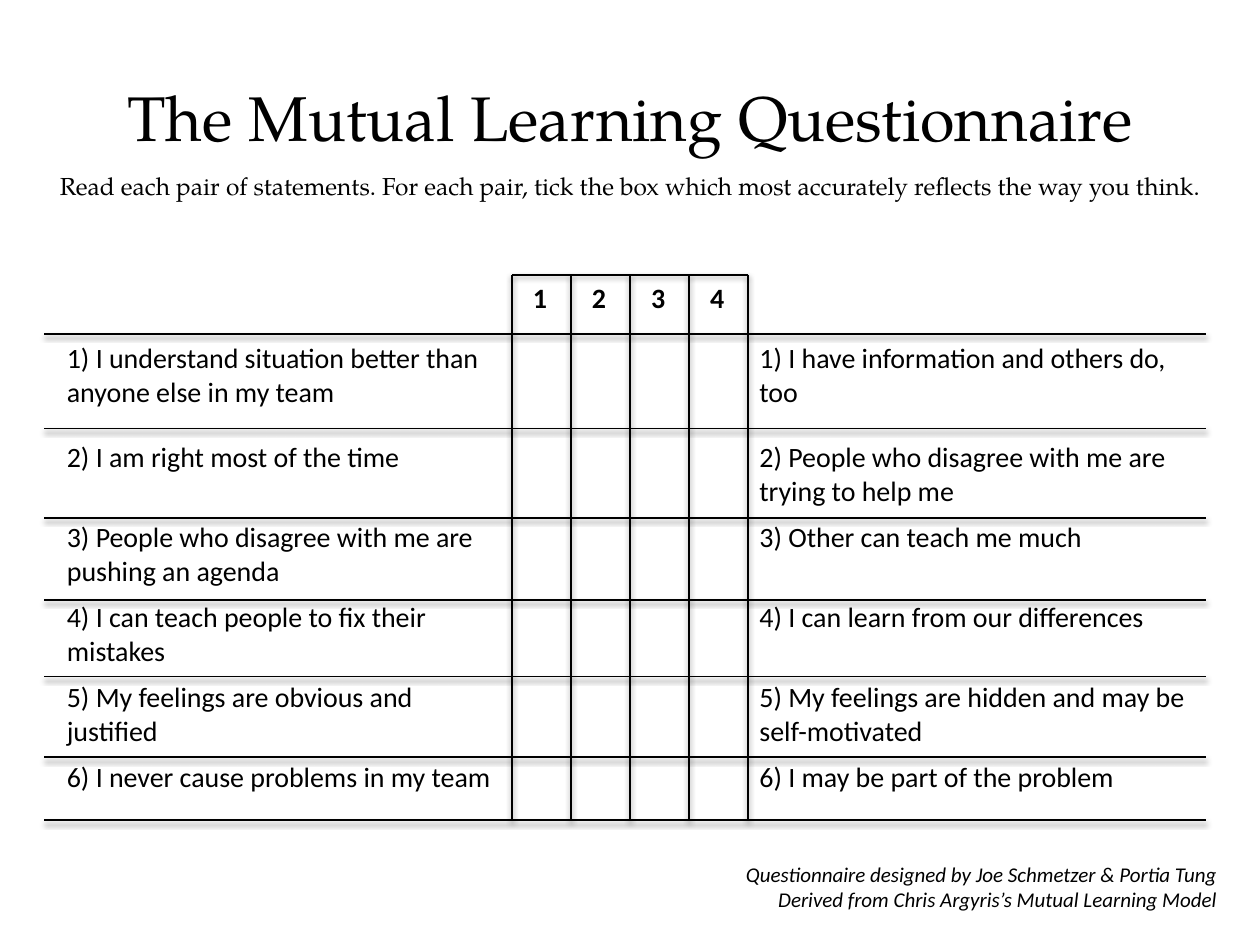
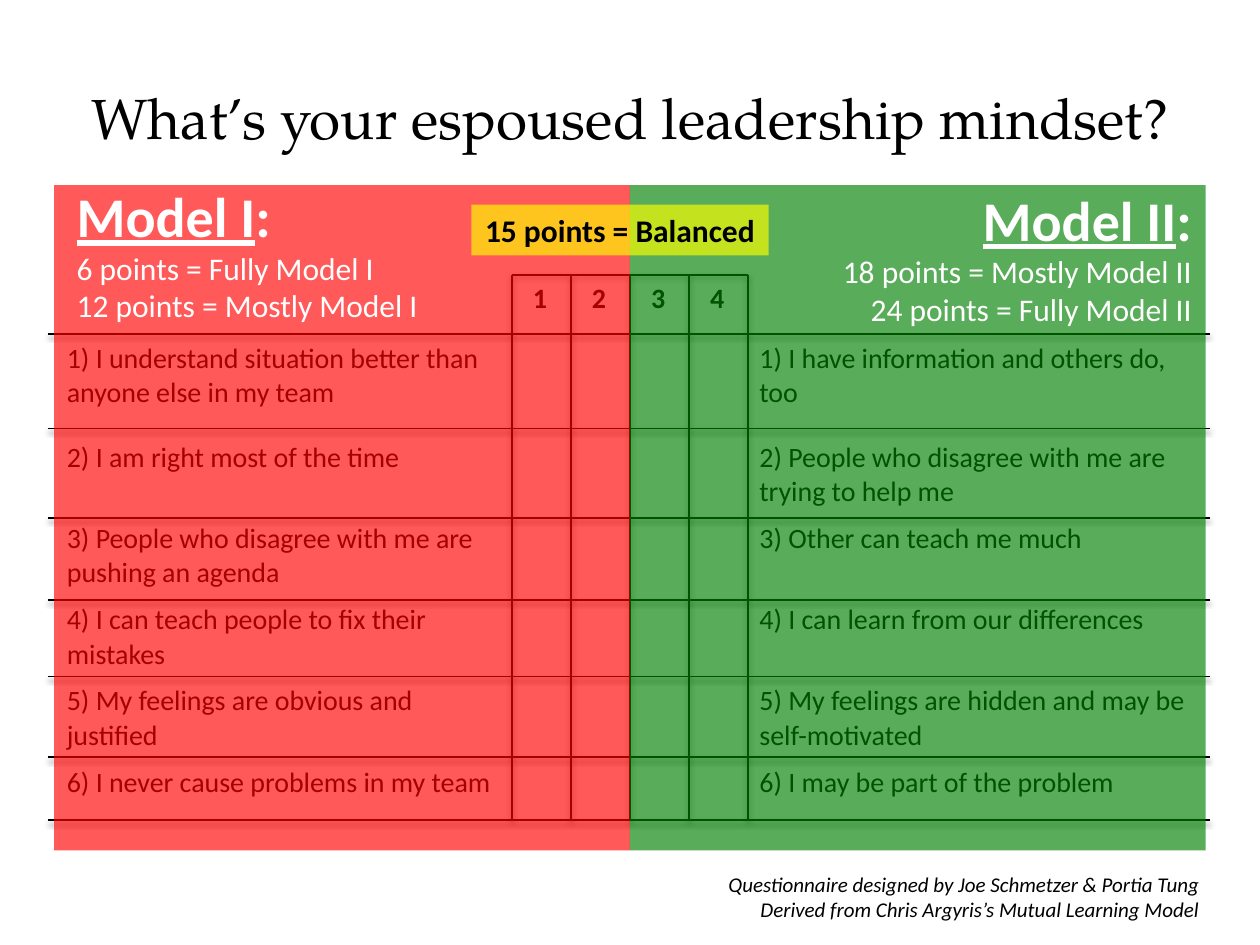
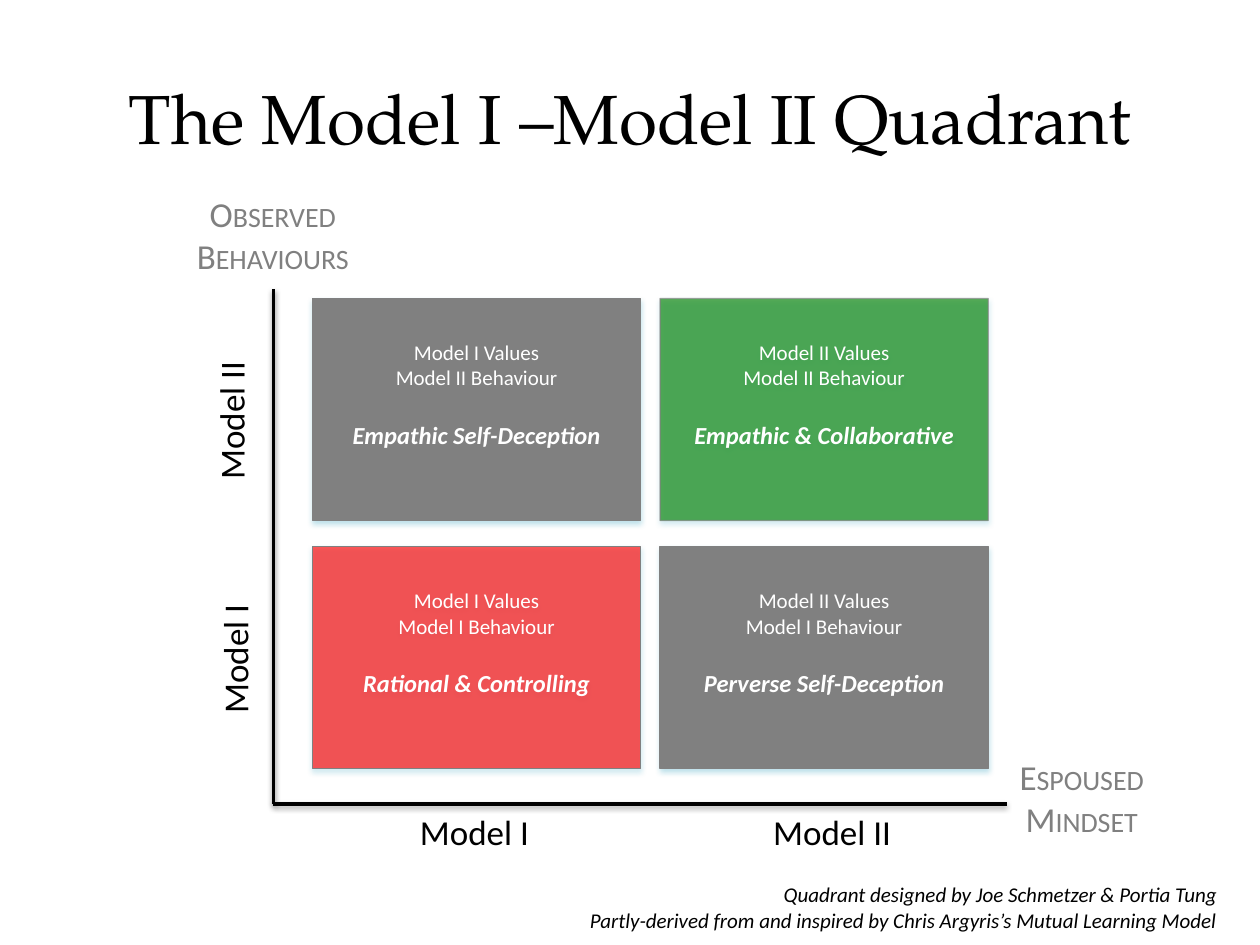
import dataclasses
import typing

import lxml.etree
import pptx
import pptx.dml.color
import pptx.enum.shapes
import pptx.enum.text
import pptx.oxml.ns
import pptx.util

Pt = pptx.util.Pt
qn = pptx.oxml.ns.qn
ALIGN = pptx.enum.text.PP_ALIGN
ANCHOR = pptx.enum.text.MSO_ANCHOR
RECTANGLE = pptx.enum.shapes.MSO_SHAPE.RECTANGLE

BLACK, WHITE, GREY = "000000", "FFFFFF", "808080"
RED, GREEN, YELLOW = "FF0000", "008000", "FFFF00"
GLOW = "4BACC6"
SHEER = 65
BODY_FONT, TITLE_FONT = "Calibri", "TeX Gyre Pagella"
NO_GRID_STYLE = "{2D5ABB26-0587-4C30-8999-92F81FD0307C}"

COLUMN_WIDTHS = [260.6, 33.8, 33.8, 33.8, 33.8, 266.6]
SCORE_LEFT, SCORE_STEP = 292.5, 33.75
GRID_TOP, GRID_BOTTOM = 157, 468.7
RULE_LEFT, RULE_RIGHT = 25.2, 689
RULE_HEIGHTS = [190.8, 244.8, 295.9, 342.7, 386.6, 432.7, GRID_BOTTOM]
STATEMENTS = [
    ("I understand situation better than anyone else in my team",
     "I have information and others do, too"),
    ("I am right most of the time",
     "People who disagree with me are trying to help me"),
    ("People who disagree with me are pushing an agenda",
     "Other can teach me much"),
    ("I can teach people to fix their mistakes",
     "I can learn from our differences"),
    ("My feelings are obvious and justified",
     "My feelings are hidden and may be self-motivated"),
    ("I never cause problems in my team",
     "I may be part of the problem"),
]


@dataclasses.dataclass(frozen=True)
class Box:
    left: float
    top: float
    width: float
    height: float

    def lengths(self) -> list[int]:
        return [Pt(value) for value in dataclasses.astuple(self)]


@dataclasses.dataclass(frozen=True)
class Words:
    text: str
    size: float
    colour: str = BLACK
    font: str = BODY_FONT
    style: dict[str, bool] = dataclasses.field(default_factory=dict)
    small_caps: bool = False


@dataclasses.dataclass(frozen=True)
class Panel:
    heading: str
    scores: list[str]
    area: Box
    caption: Box
    colour: str
    align: typing.Any


@dataclasses.dataclass(frozen=True)
class Quadrant:
    values: str
    behaviour: str
    verdict: str
    column: int
    row: int
    fill: str
    fill_alpha: int = 100
    line_alpha: int = 100


@dataclasses.dataclass(frozen=True)
class AxisLabel:
    text: str
    box: Box
    rotation: int = 0
    colour: str = BLACK
    small_caps: bool = False


PANELS = [
    Panel("Model I", ["6 points = Fully Model I", "12 points = Mostly Model I"],
          Box(31, 105.8, 329, 380.2), Box(36.7, 100.1, 249, 90), RED, ALIGN.LEFT),
    Panel("Model II", ["18 points = Mostly Model II", "24 points = Fully Model II"],
          Box(360, 105.8, 329, 380.2), Box(439.2, 102.2, 249, 90), GREEN, ALIGN.RIGHT),
]
QUADRANTS = [
    Quadrant("Model I", "Model II", "Empathic Self-Deception", 0, 0, GREY),
    Quadrant("Model I", "Model I", "Rational & Controlling", 0, 1, RED, SHEER),
    Quadrant("Model II", "Model II", "Empathic & Collaborative", 1, 0, GREEN, SHEER, SHEER),
    Quadrant("Model II", "Model I", "Perverse Self-Deception", 1, 1, GREY),
]
AXIS_LABELS = [
    AxisLabel("Model I", Box(218.2, 459.4, 105.8, 31.7)),
    AxisLabel("Model I", Box(81.4, 360.7, 105.8, 31.7), 270),
    AxisLabel("Model II", Box(79.2, 224.6, 105.8, 31.7), 270),
    AxisLabel("Observed Behaviours", Box(82.1, 106.6, 147.6, 55.4), 0, GREY, True),
    AxisLabel("Espoused Mindset", Box(558.7, 428.4, 118.8, 55.4), 0, GREY, True),
    AxisLabel("Model II", Box(422.6, 459.4, 105.8, 31.7)),
]


def rgb(colour: str) -> pptx.dml.color.RGBColor:
    return pptx.dml.color.RGBColor.from_string(colour)


def apply_format(target: typing.Any, values: dict[str, typing.Any]) -> None:
    for attribute, value in values.items():
        setattr(target, attribute, value)


def place(shape: typing.Any, box: Box) -> None:
    apply_format(shape, dict(zip(("left", "top", "width", "height"), box.lengths())))


def write(frame: typing.Any, lines: list[list[Words]], align: typing.Any) -> None:
    for index, line in enumerate(lines):
        paragraph = frame.add_paragraph() if index else frame.paragraphs[0]
        paragraph.alignment = align
        for words in line:
            run = paragraph.add_run()
            run.text = words.text
            apply_format(run.font, {"name": words.font, "size": Pt(words.size), **words.style})
            run.font.color.rgb = rgb(words.colour)
            if words.small_caps:
                run.font._element.set("cap", "small")


def add_text(shapes: typing.Any, box: Box, lines: list[list[Words]],
             align: typing.Any = ALIGN.CENTER) -> typing.Any:
    caption = shapes.add_textbox(*box.lengths())
    caption.text_frame.word_wrap = True
    write(caption.text_frame, lines, align)
    return caption


def set_alpha(properties: typing.Any, percent: int) -> None:
    if percent < 100:
        colour = properties.find(f"{qn('a:solidFill')}/{qn('a:srgbClr')}")
        lxml.etree.SubElement(colour, qn("a:alpha"), val=str(percent * 1000))


def cast_shadow(shape: typing.Any, colour: str, percent: int, distance: float) -> None:
    properties = shape.element.spPr
    effects = properties.find(qn("a:effectLst"))
    if effects is None:
        effects = lxml.etree.SubElement(properties, qn("a:effectLst"))
    shadow = lxml.etree.SubElement(
        effects, qn("a:outerShdw"), blurRad=str(Pt(3.1)), dist=str(Pt(distance)),
        dir="5400000", rotWithShape="0")
    tint = lxml.etree.SubElement(shadow, qn("a:srgbClr"), val=colour)
    lxml.etree.SubElement(tint, qn("a:alpha"), val=str(percent * 1000))


def add_rule(slide: typing.Any, x1: float, y1: float, x2: float, y2: float,
             width: float = 1) -> None:
    rule = slide.shapes.add_connector(
        pptx.enum.shapes.MSO_CONNECTOR.STRAIGHT, Pt(x1), Pt(y1), Pt(x2), Pt(y2))
    rule.line.color.rgb = rgb(BLACK)
    rule.line.width = Pt(width)
    cast_shadow(rule, BLACK, 38, 1.6)


def add_block(shapes: typing.Any, box: Box, colour: str, alpha: int = 100) -> typing.Any:
    block = shapes.add_shape(RECTANGLE, *box.lengths())
    block.shadow.inherit = False
    block.fill.solid()
    block.fill.fore_color.rgb = rgb(colour)
    block.line.fill.background()
    set_alpha(block.element.spPr, alpha)
    return block


def fill_placeholder(shape: typing.Any, box: Box, words: Words) -> None:
    place(shape, box)
    shape.text_frame.auto_size = pptx.enum.text.MSO_AUTO_SIZE.NONE
    write(shape.text_frame, [[words]], ALIGN.CENTER)


def add_slide(deck: typing.Any, layout: int, title: str, size: float) -> typing.Any:
    slide = deck.slides.add_slide(deck.slide_layouts[layout])
    fill_placeholder(slide.shapes.title, Box(36, 21.6, 648, 90),
                     Words(title, size, font=TITLE_FONT))
    slide.shapes.title.text_frame.vertical_anchor = ANCHOR.MIDDLE
    return slide


def add_credit(slide: typing.Any, box: Box, lines: list[str]) -> None:
    add_text(slide.shapes, box,
             [[Words(line, 12, style={"italic": True})] for line in lines], ALIGN.RIGHT)


def add_questionnaire_credit(slide: typing.Any, left: float, top: float) -> None:
    add_credit(slide, Box(left, top, 321.1, 36),
               ["Questionnaire designed by Joe Schmetzer & Portia Tung",
                "Derived from Chris Argyris’s Mutual Learning Model"])


def add_questionnaire(slide: typing.Any, statement_height: float, shift: float = 0) -> None:
    row_heights = [33.8, 56.9] + [statement_height] * 5
    frame = slide.shapes.add_table(
        len(row_heights), len(COLUMN_WIDTHS),
        *Box(31, 157.7, sum(COLUMN_WIDTHS), sum(row_heights)).lengths())
    questions = frame.table
    apply_format(questions, {"first_row": False, "horz_banding": False})
    next(frame.element.iter(qn("a:tableStyleId"))).text = NO_GRID_STYLE
    for column, width in zip(questions.columns, COLUMN_WIDTHS):
        column.width = Pt(width)
    for row, height in zip(questions.rows, row_heights):
        row.height = Pt(height)
    for cell in questions.iter_cells():
        cell.fill.background()
    for score in range(1, 5):
        write(questions.cell(0, score).text_frame,
              [[Words(str(score), 16, style={"bold": True})]], ALIGN.CENTER)
    for number, pair in enumerate(STATEMENTS, 1):
        for column, statement in zip((0, 5), pair):
            write(questions.cell(number, column).text_frame,
                  [[Words(f"{number}) {statement}", 16, style={"bold": False})]], ALIGN.LEFT)

    score_edges = [SCORE_LEFT + SCORE_STEP * step for step in range(5)]
    for edge in score_edges:
        add_rule(slide, edge, GRID_TOP, edge, GRID_BOTTOM)
    add_rule(slide, score_edges[-1], GRID_TOP, score_edges[0], GRID_TOP)
    for height in RULE_HEIGHTS:
        add_rule(slide, RULE_RIGHT + shift, height, RULE_LEFT + shift, height)


def add_panel(slide: typing.Any, panel: Panel) -> None:
    group = slide.shapes.add_group_shape()
    add_block(group.shapes, panel.area, panel.colour, SHEER)
    heading = [Words(panel.heading, 32, WHITE, style={"bold": True, "underline": True}),
               Words(":", 32, WHITE, style={"bold": True})]
    scores = [[Words(score, 18, WHITE)] for score in panel.scores]
    add_text(group.shapes, panel.caption, [heading, *scores], panel.align)


def add_quadrant(slide: typing.Any, quadrant: Quadrant) -> None:
    box = Box(178.6 + 198.6 * quadrant.column, 170.6 + 141.8 * quadrant.row, 187.5, 126.9)
    block = add_block(slide.shapes, box, quadrant.fill, quadrant.fill_alpha)
    block.line.color.rgb = rgb(GREY)
    block.line.width = Pt(0.75)
    set_alpha(block.element.spPr.find(qn("a:ln")), quadrant.line_alpha)
    cast_shadow(block, GLOW, 35, 1.8)
    frame = block.text_frame
    apply_format(frame, {"vertical_anchor": ANCHOR.MIDDLE, "word_wrap": True,
                         "margin_bottom": Pt(20.7)})
    write(frame, [
        [Words(f"{quadrant.values} Values", 12, WHITE)],
        [Words(f"{quadrant.behaviour} Behaviour", 12, WHITE)],
        [Words(quadrant.verdict, 14, WHITE, style={"bold": True, "italic": True})],
    ], ALIGN.CENTER)
    frame.paragraphs[-1].space_before = Pt(17.1)


def build_questionnaire(deck: typing.Any) -> None:
    slide = add_slide(deck, 1, "The Mutual Learning Questionnaire", 36)
    instruction = slide.placeholders[1]
    fill_placeholder(instruction, Box(20.2, 94.3, 680.4, 36), Words(
        "Read each pair of statements. For each pair, tick the box which most "
        "accurately reflects the way you think.", 14, font=TITLE_FONT))
    properties = instruction.text_frame.paragraphs[0]._p.get_or_add_pPr()
    apply_format(properties, {"marL": 0, "indent": 0})
    properties.set("marL", "0")
    properties.set("indent", "0")
    lxml.etree.SubElement(properties, qn("a:buNone"))
    add_questionnaire_credit(slide, 381.6, 488.9)
    add_questionnaire(slide, 45.7)


def build_scoring(deck: typing.Any) -> None:
    slide = add_slide(deck, 5, "What’s your espoused leadership mindset?", 32.4)
    add_questionnaire(slide, 46.3, 2.2)
    for panel in PANELS:
        add_panel(slide, panel)
    balanced = add_block(slide.shapes, Box(269.3, 116.9, 170, 29), YELLOW, SHEER)
    balanced.text_frame.word_wrap = False
    write(balanced.text_frame,
          [[Words("15 points = Balanced", 18, style={"bold": True})]], ALIGN.CENTER)
    add_questionnaire_credit(slide, 371.5, 494.6)


def build_quadrants(deck: typing.Any) -> None:
    slide = add_slide(deck, 5, "The Model I –Model II Quadrant", 39.6)
    for quadrant in QUADRANTS:
        add_quadrant(slide, quadrant)
    add_rule(slide, 156.2, 459.4, 575.3, 459.4, 2)
    add_rule(slide, 156.2, 459.4, 156.2, 164.9, 2)
    for label in AXIS_LABELS:
        words = Words(label.text, 20, label.colour, small_caps=label.small_caps)
        add_text(slide.shapes, label.box, [[words]]).rotation = label.rotation
    add_credit(slide, Box(308.9, 500.4, 393.8, 36),
               ["Quadrant designed by Joe Schmetzer & Portia Tung",
                "Partly-derived from and inspired by Chris Argyris’s Mutual Learning Model"])


def main() -> None:
    deck = pptx.Presentation()
    apply_format(deck, {"slide_width": Pt(720), "slide_height": Pt(540)})
    build_questionnaire(deck)
    build_scoring(deck)
    build_quadrants(deck)
    deck.save("out.pptx")


if __name__ == "__main__":
    main()
